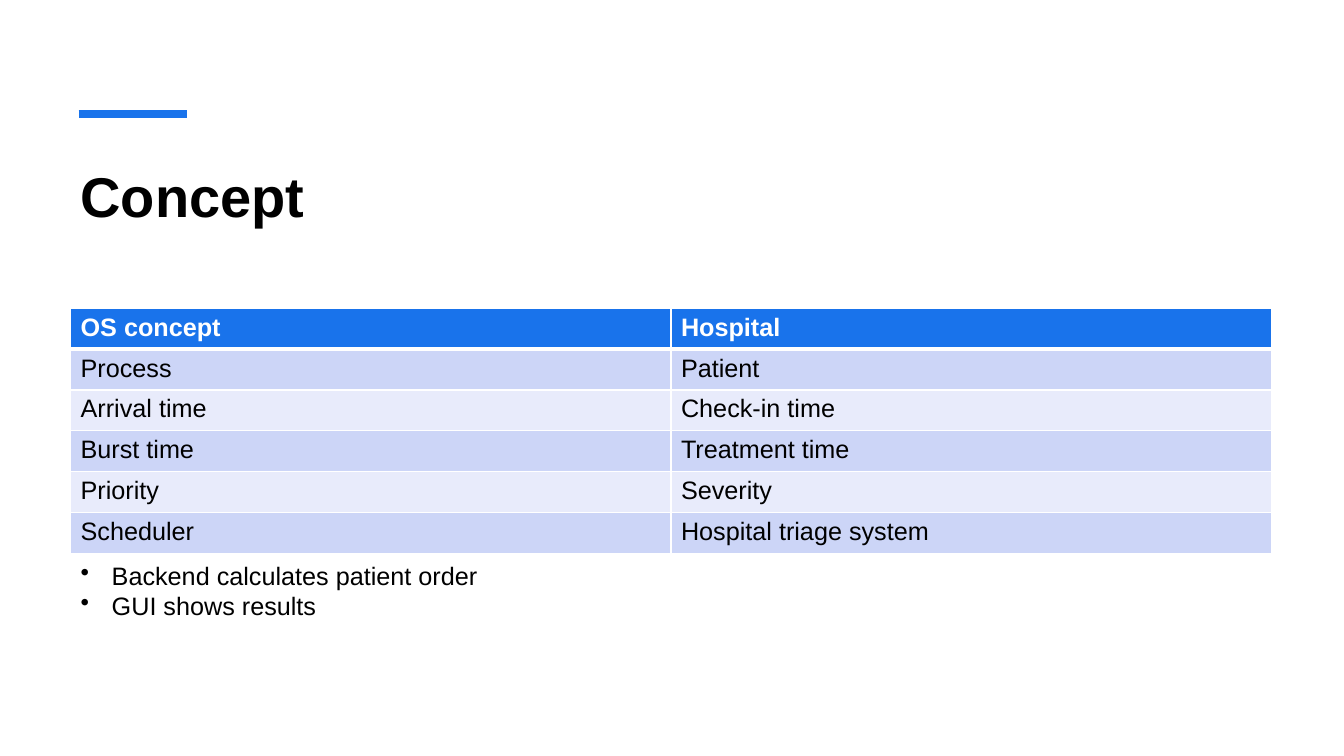
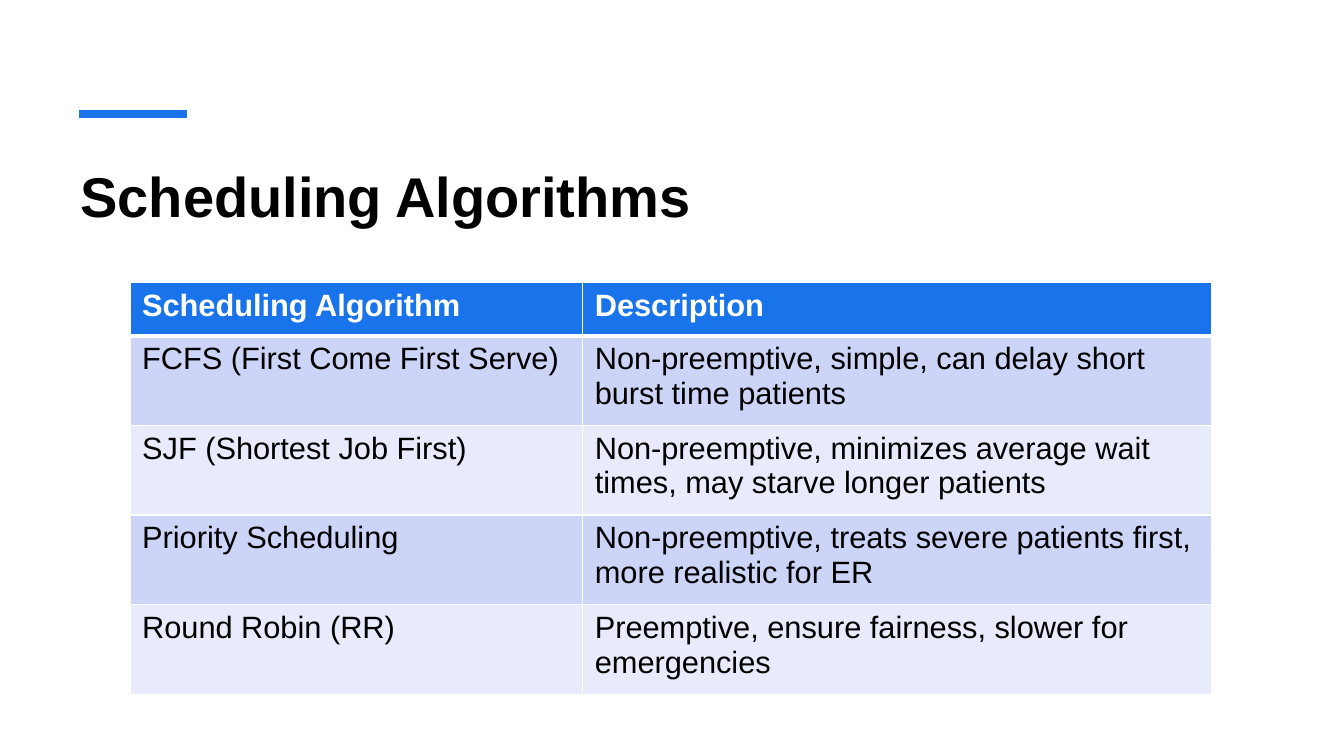
from dataclasses import dataclass

from lxml import etree
from pptx import Presentation
from pptx.dml.color import RGBColor
from pptx.enum.shapes import MSO_CONNECTOR
from pptx.oxml import parse_xml
from pptx.oxml.ns import nsdecls, qn
from pptx.util import Inches, Pt


@dataclass(frozen=True)
class Theme:
    font: str = "Arial"
    accent: RGBColor = RGBColor(0x19, 0x73, 0xEB)
    ink: RGBColor = RGBColor(0, 0, 0)
    white: RGBColor = RGBColor(0xFF, 0xFF, 0xFF)
    bands: tuple = (RGBColor(0xE8, 0xEB, 0xFB), RGBColor(0xCC, 0xD5, 0xF7))
    title_size: int = 40
    body_size: int = 18
    bar_width: int = 6
    rule_width: int = 1
    header_rule_width: int = 3


THEME = Theme()
LEFT, CONTENT_WIDTH = 0.7, 11.91

PAGES = [
    {
        "title": "Concept",
        "at": (LEFT, 3.06),
        "columns": [CONTENT_WIDTH / 2] * 2,
        "heights": [2.43 / 6] * 6,
        "size": THEME.body_size,
        "insets": (0.1, 0.05),
        "rows": [
            ("OS concept", "Hospital"),
            ("Process", "Patient"),
            ("Arrival time", "Check-in time"),
            ("Burst time", "Treatment time"),
            ("Priority", "Severity"),
            ("Scheduler", "Hospital triage system"),
        ],
        "bullets": ["Backend calculates patient order", "GUI shows results"],
    },
    {
        "title": "Scheduling Algorithms",
        "at": (1.29, 2.8),
        "columns": [4.49, 6.24],
        "heights": [0.53] + [0.89] * 4,
        "size": 22,
        "insets": (0.12, 0.06),
        "rows": [
            ("Scheduling Algorithm", "Description"),
            ("FCFS (First Come First Serve)",
             "Non-preemptive, simple, can delay short burst time patients"),
            ("SJF (Shortest Job First)",
             "Non-preemptive, minimizes average wait times, may starve longer patients"),
            ("Priority Scheduling",
             "Non-preemptive, treats severe patients first, more realistic for ER"),
            ("Round Robin (RR)",
             "Preemptive, ensure fairness, slower for emergencies"),
        ],
        "bullets": [],
    },
]


def write(para, text, size, color=THEME.ink, bold=False):
    para.text = text
    font = para.font
    font.name, font.size, font.bold = THEME.font, Pt(size), bold
    font.color.rgb = color


def add_borders(cell, row_index):
    """White rules round a cell, heavier between the header and the body."""
    heavy_side = {0: "B", 1: "T"}.get(row_index)
    for side in "LRTB":
        width = THEME.header_rule_width if side == heavy_side else THEME.rule_width
        cell._tc.get_or_add_tcPr().append(parse_xml(
            f'<a:ln{side} {nsdecls("a")} w="{Pt(width)}"><a:solidFill>'
            f'<a:srgbClr val="{THEME.white}"/></a:solidFill></a:ln{side}>'))


deck = Presentation()
deck.slide_width, deck.slide_height = Inches(13.33), Inches(7.5)

for content in PAGES:
    page = deck.slides.add_slide(deck.slide_layouts[6])

    bar = page.shapes.add_connector(
        MSO_CONNECTOR.STRAIGHT, Inches(0.78), Inches(1.13), Inches(1.85), Inches(1.13))
    bar.line.color.rgb = THEME.accent
    bar.line.width = Pt(THEME.bar_width)
    etree.SubElement(bar._element.spPr, qn("a:effectLst"))

    title = page.shapes.add_textbox(
        Inches(LEFT), Inches(1.5), Inches(CONTENT_WIDTH), Inches(1.2)).text_frame
    title.word_wrap = True
    title.margin_top = Inches(0.1)
    write(title.paragraphs[0], content["title"], THEME.title_size, bold=True)

    rows, columns, heights = content["rows"], content["columns"], content["heights"]
    left, top = content["at"]
    table = page.shapes.add_table(
        len(rows), len(columns), Inches(left), Inches(top),
        Inches(sum(columns)), Inches(sum(heights))).table
    for column, width in zip(table.columns, columns):
        column.width = Inches(width)
    side_inset, end_inset = content["insets"]
    for row_index, (row, height, texts) in enumerate(zip(table.rows, heights, rows)):
        row.height = Inches(height)
        header = row_index == 0
        for cell, text in zip(row.cells, texts):
            cell.margin_left = cell.margin_right = Inches(side_inset)
            cell.margin_top = cell.margin_bottom = Inches(end_inset)
            add_borders(cell, row_index)
            cell.fill.solid()
            cell.fill.fore_color.rgb = THEME.accent if header else THEME.bands[row_index % 2]
            write(cell.text_frame.paragraphs[0], text, content["size"],
                  THEME.white if header else THEME.ink, header)

    if content["bullets"]:
        notes = page.shapes.add_textbox(
            Inches(LEFT), Inches(5.51), Inches(CONTENT_WIDTH), Inches(0.71)).text_frame
        notes.word_wrap = True
        for index, text in enumerate(content["bullets"]):
            para = notes.add_paragraph() if index else notes.paragraphs[0]
            write(para, text, THEME.body_size)
            properties = para._p.get_or_add_pPr()
            properties.set("marL", str(Inches(0.31)))
            properties.set("indent", str(-Inches(0.31)))
            properties.insert(0, parse_xml(f'<a:buChar {nsdecls("a")} char="•"/>'))

deck.save("out.pptx")
